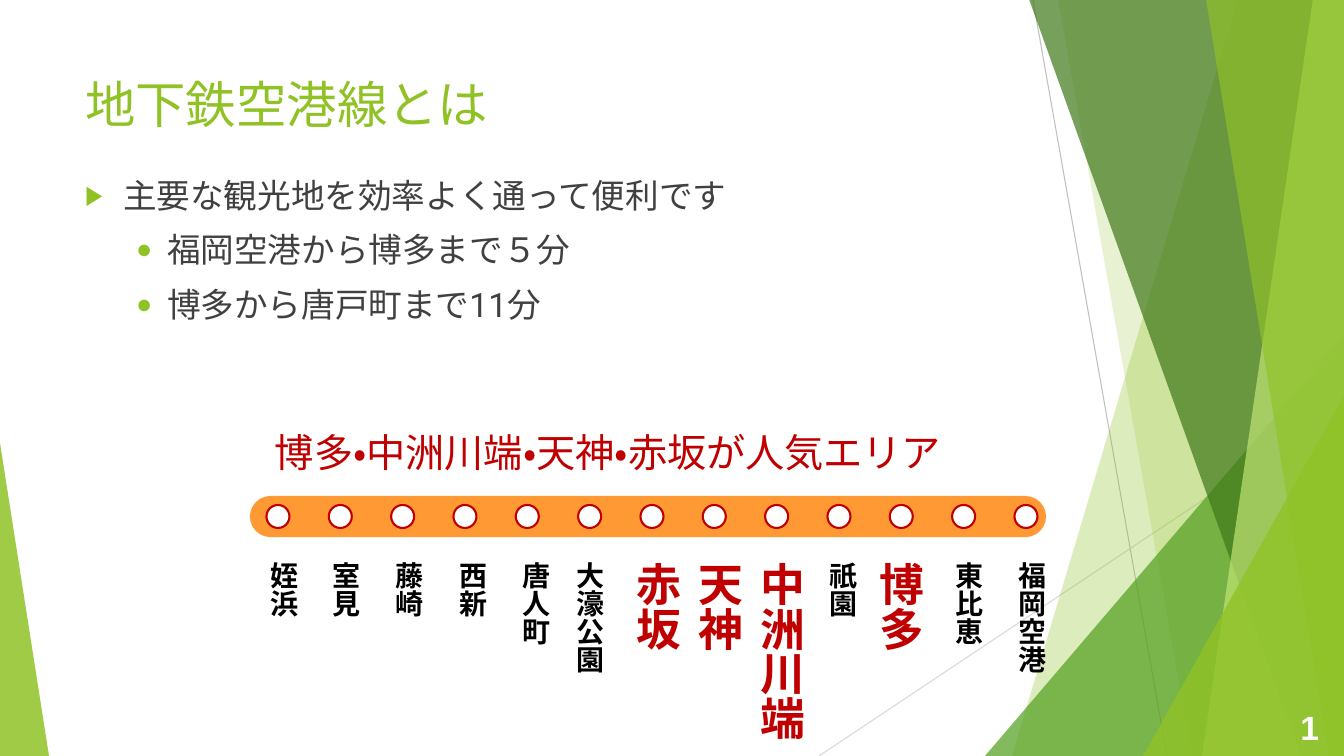
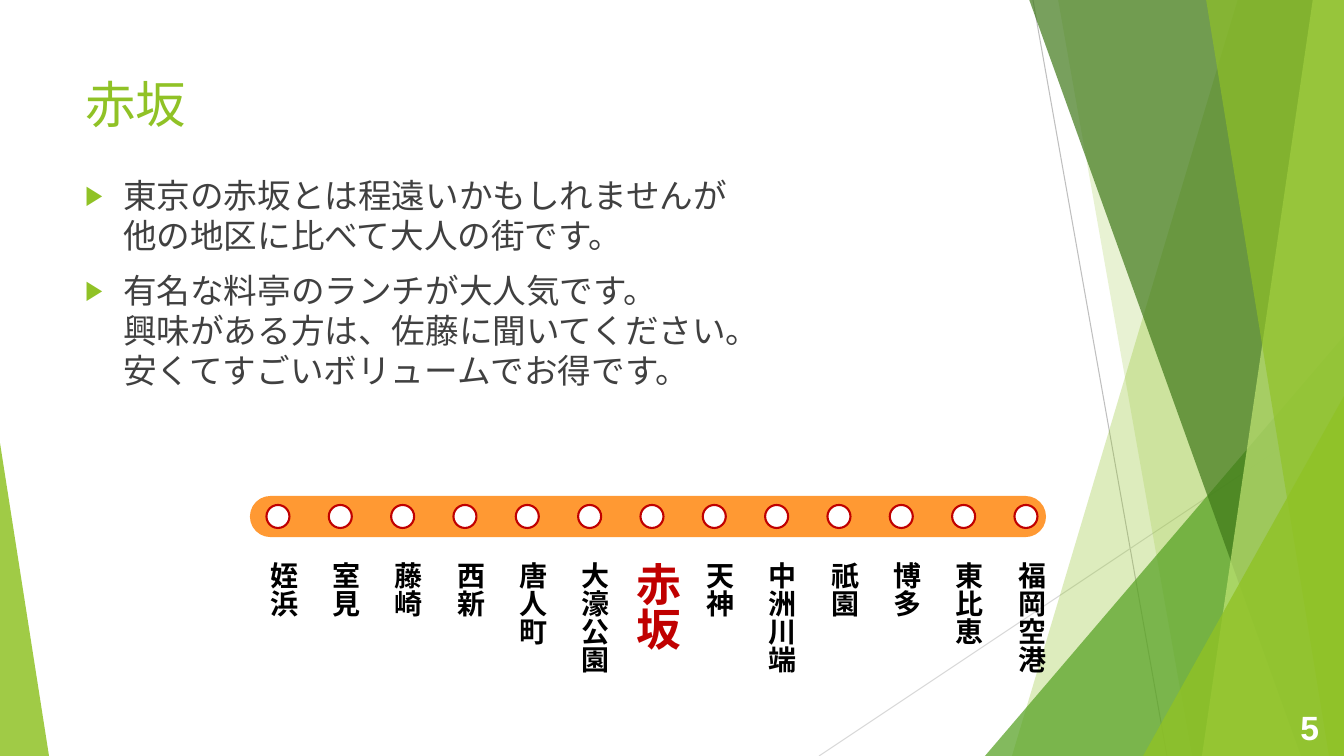
from dataclasses import dataclass

import pptx
import pptx.util
import pptx.dml.color
import pptx.enum.dml
import pptx.enum.lang
import pptx.enum.shapes
import pptx.enum.text
import pptx.oxml
import pptx.oxml.ns

PX = 914400 / 100.8
PRESET = pptx.enum.shapes.MSO_SHAPE
FIT = pptx.enum.text.MSO_AUTO_SIZE
ANCHOR = pptx.enum.text.MSO_ANCHOR
ALIGN = pptx.enum.text.PP_ALIGN


@dataclass(frozen=True)
class Theme:
    green: str = "90C226"
    leaf: str = "54A021"
    forest: str = "3F7819"
    lime: str = "C0E474"
    text: str = "404040"
    black: str = "000000"
    white: str = "FFFFFF"
    red: str = "C00000"
    orange: str = "FF9933"
    line_dark: str = "BFBFBF"
    line_light: str = "D9D9D9"
    main_font: str = "Roboto"
    map_font: str = "Arial"
    title_size: int = 36
    body_size: int = 24
    heading_size: int = 28
    station_size: int = 20
    popular_size: int = 32
    number_size: int = 24


@dataclass(frozen=True)
class Box:
    left: float
    top: float
    width: float
    height: float

    def emu(self):
        return [px(value) for value in (self.left, self.top, self.width, self.height)]


THEME = Theme()
PAGE = Box(0, 0, 1344, 756)
TITLE = Box(75, 68, 948, 81)
BODY = Box(75, 170, 948, 495)
NUMBER = Box(1253, 707, 76, 40)
MAP = Box(251, 423, 794, 320)
STATIONS = ["姪浜", "室見", "藤崎", "西新", "唐人町", "大濠公園", "赤坂", "天神",
            "中洲川端", "祇園", "博多", "東比恵", "福岡空港"]
BULLETS = [("▶", 38, -38), ("●", 82, -31)]


def px(value):
    return pptx.util.Emu(round(value * PX))


def rgb(colour):
    return pptx.dml.color.RGBColor.from_string(colour)


def paint(shape, colour, opacity=None, outline=None):
    shape.shadow.inherit = False
    shape.fill.solid()
    shape.fill.fore_color.rgb = rgb(colour)
    if opacity is not None:
        tint = shape.element.xpath("./p:spPr/a:solidFill/a:srgbClr")[0]
        add_child(tint, "alpha", val=str(opacity * 1000))
    if outline:
        shape.line.color.rgb = rgb(outline)
        shape.line.width = pptx.util.Pt(1.5)
    else:
        shape.line.fill.background()


def add_child(parent, tag, **attributes):
    child = pptx.oxml.parse_xml(f"<a:{tag} {pptx.oxml.ns.nsdecls('a')}/>")
    for name, value in attributes.items():
        child.set(name, value)
    parent.append(child)
    return child


def write(para, text, font, size, colour, bold=False):
    for index, line in enumerate(text.split("\n")):
        if index:
            para.add_line_break()
        span = para.add_run()
        span.text = line
        span.font.name = font
        span.font.size = pptx.util.Pt(size)
        span.font.bold = bold
        span.font.color.rgb = rgb(colour)
        span.font.language_id = pptx.enum.lang.MSO_LANGUAGE_ID.JAPANESE


def add_label(page, box, text, size, colour, bold=False, vertical=False):
    label = page.shapes.add_textbox(*box.emu())
    frame = label.text_frame
    frame.word_wrap = False
    frame.auto_size = FIT.SHAPE_TO_FIT_TEXT
    if vertical:
        label.element.xpath(".//a:bodyPr")[0].set("vert", "eaVert")
    write(frame.paragraphs[0], text, THEME.map_font, size, colour, bold)


def add_line(shapes, start, end, colour):
    line = shapes.add_connector(
        pptx.enum.shapes.MSO_CONNECTOR.STRAIGHT, *[px(value) for value in start + end])
    line.line.color.rgb = rgb(colour)
    line.line.width = pptx.util.Pt(0.75)
    add_child(line.element.spPr, "effectLst")


def add_band(shapes, box, top_x, bottom_x, colour, opacity):
    right, bottom = box.left + box.width, box.top + box.height
    builder = shapes.build_freeform(box.left + top_x, box.top - 1, scale=PX)
    builder.add_line_segments(
        [(right, box.top - 1), (right, bottom), (box.left + bottom_x, bottom)], close=True)
    paint(builder.convert_to_shape(), colour, opacity)


def add_triangle(shapes, box, left, width, height, apex, colour, opacity):
    place = Box(box.left + left, box.top + box.height - height, width, height)
    triangle = shapes.add_shape(PRESET.ISOSCELES_TRIANGLE, *place.emu())
    triangle.adjustments[0] = apex
    paint(triangle, colour, opacity)


def add_backdrop(page, layout, box):
    for holder in list(layout.placeholders):
        if holder.placeholder_format.idx >= 10:
            holder.element.getparent().remove(holder.element)
    group = page.shapes.add_group_shape()
    shapes = group.shapes
    right, bottom = box.left + box.width, box.top + box.height
    add_line(shapes, (box.left + 1033, box.top), (box.left + 1167, bottom), THEME.line_dark)
    add_line(shapes, (right, box.top + 406), (box.left + 819, bottom), THEME.line_light)
    add_band(shapes, box, 1238, 1012, THEME.green, 30)
    add_band(shapes, box, 1058, 1192, THEME.green, 20)
    add_triangle(shapes, box, 985, 359, 420, 1, THEME.leaf, 72)
    add_band(shapes, box, 1029, 1301, THEME.forest, 70)
    add_band(shapes, box, 1313, 1202, THEME.lime, 70)
    add_band(shapes, box, 1206, 1329, THEME.green, 65)
    add_triangle(shapes, box, 1143, 201, 360, 1, THEME.green, 80)
    add_triangle(shapes, box, 0, 49, 313, 0, THEME.green, 85)
    layout.shapes.element.insert(2, group.element)


def place_holder(holder, box):
    holder.left, holder.top, holder.width, holder.height = box.emu()
    frame = holder.text_frame
    frame.auto_size = FIT.NONE
    frame.word_wrap = True
    frame.vertical_anchor = ANCHOR.TOP
    return frame


def fill_title(page, box, text):
    para = place_holder(page.shapes.title, box).paragraphs[0]
    para.alignment = ALIGN.LEFT
    write(para, text, THEME.main_font, THEME.title_size, THEME.green)


def fill_body(page, box, items):
    holder = page.placeholders[1]
    frame = place_holder(holder, box)
    for index, (level, text) in enumerate(items):
        para = frame.add_paragraph() if index else frame.paragraphs[0]
        para.level = level
        symbol, margin, indent = BULLETS[level]
        properties = holder.element.xpath(".//a:p")[-1].get_or_add_pPr()
        properties.set("marL", str(px(margin)))
        properties.set("indent", str(px(indent)))
        add_child(add_child(properties, "buClr"), "srgbClr", val=THEME.green)
        add_child(properties, "buSzPct", val="80000")
        add_child(properties, "buFont", typeface=THEME.map_font)
        add_child(properties, "buChar", char=symbol)
        para.space_before = pptx.util.Pt(10 if index else 0)
        write(para, text, THEME.main_font, THEME.body_size, THEME.text)


def add_line_map(page, box, popular, nudges, heading):
    track = Box(box.left, box.top + 74, box.width, 39)
    bar = page.shapes.add_shape(PRESET.ROUNDED_RECTANGLE, *track.emu())
    bar.adjustments[0] = 0.5
    paint(bar, THEME.orange, outline=THEME.orange)
    stop, margin = 23, 27
    pitch = (box.width - 2 * margin + 8) / (len(STATIONS) - 1)
    for index, station in enumerate(STATIONS):
        middle = box.left + margin + index * pitch
        place = Box(middle - stop / 2, track.top + (track.height - stop) / 2, stop, stop)
        paint(page.shapes.add_shape(PRESET.OVAL, *place.emu()), THEME.white, outline=THEME.red)
    for index, station in enumerate(STATIONS):
        middle = box.left + margin + index * pitch + nudges.get(station, 0)
        chosen = station in popular
        size = THEME.popular_size if chosen else THEME.station_size
        glyph = size * 1.4
        width = 1.2 * glyph + 20
        place = Box(middle - width / 2, box.top + 129, width, len(station) * glyph + 10)
        add_label(page, place, station, size, THEME.red if chosen else THEME.black, True, True)
    if heading:
        add_label(page, Box(box.left + 14, box.top, 772, 57), heading,
                  THEME.heading_size, THEME.red)


def add_number(page, box, number):
    frame = page.shapes.add_textbox(*box.emu()).text_frame
    frame.word_wrap = True
    frame.vertical_anchor = ANCHOR.MIDDLE
    para = frame.paragraphs[0]
    para.alignment = ALIGN.RIGHT
    write(para, str(number), THEME.map_font, THEME.number_size, THEME.white, True)


def add_line_page(deck, layout, title, items, popular, number, nudges=None, heading=None):
    page = deck.slides.add_slide(layout)
    fill_title(page, TITLE, title)
    fill_body(page, BODY, items)
    add_line_map(page, MAP, popular, nudges or {}, heading)
    add_number(page, NUMBER, number)
    return page


def main():
    deck = pptx.Presentation()
    deck.slide_width, deck.slide_height = px(PAGE.width), px(PAGE.height)
    layout = deck.slide_layouts[1]
    overview = add_line_page(
        deck, layout, "地下鉄空港線とは",
        [(0, "主要な観光地を効率よく通って便利です"),
         (1, "福岡空港から博多まで５分"),
         (1, "博多から唐戸町まで11分")],
        {"赤坂", "天神", "中洲川端", "博多"}, 1,
        {"藤崎": 1, "西新": 2, "唐人町": 3, "大濠公園": -5, "祇園": -2, "博多": -6},
        "博多・中洲川端・天神・赤坂が人気エリア")
    add_backdrop(overview, layout, PAGE)
    add_line_page(
        deck, layout, "赤坂",
        [(0, "東京の赤坂とは程遠いかもしれませんが\n他の地区に比べて大人の街です。"),
         (0, "有名な料亭のランチが大人気です。\n興味がある方は、佐藤に聞いてください。\n"
             "安くてすごいボリュームでお得です。")],
        {"赤坂"}, 5)
    deck.save("out.pptx")


if __name__ == "__main__":
    main()
